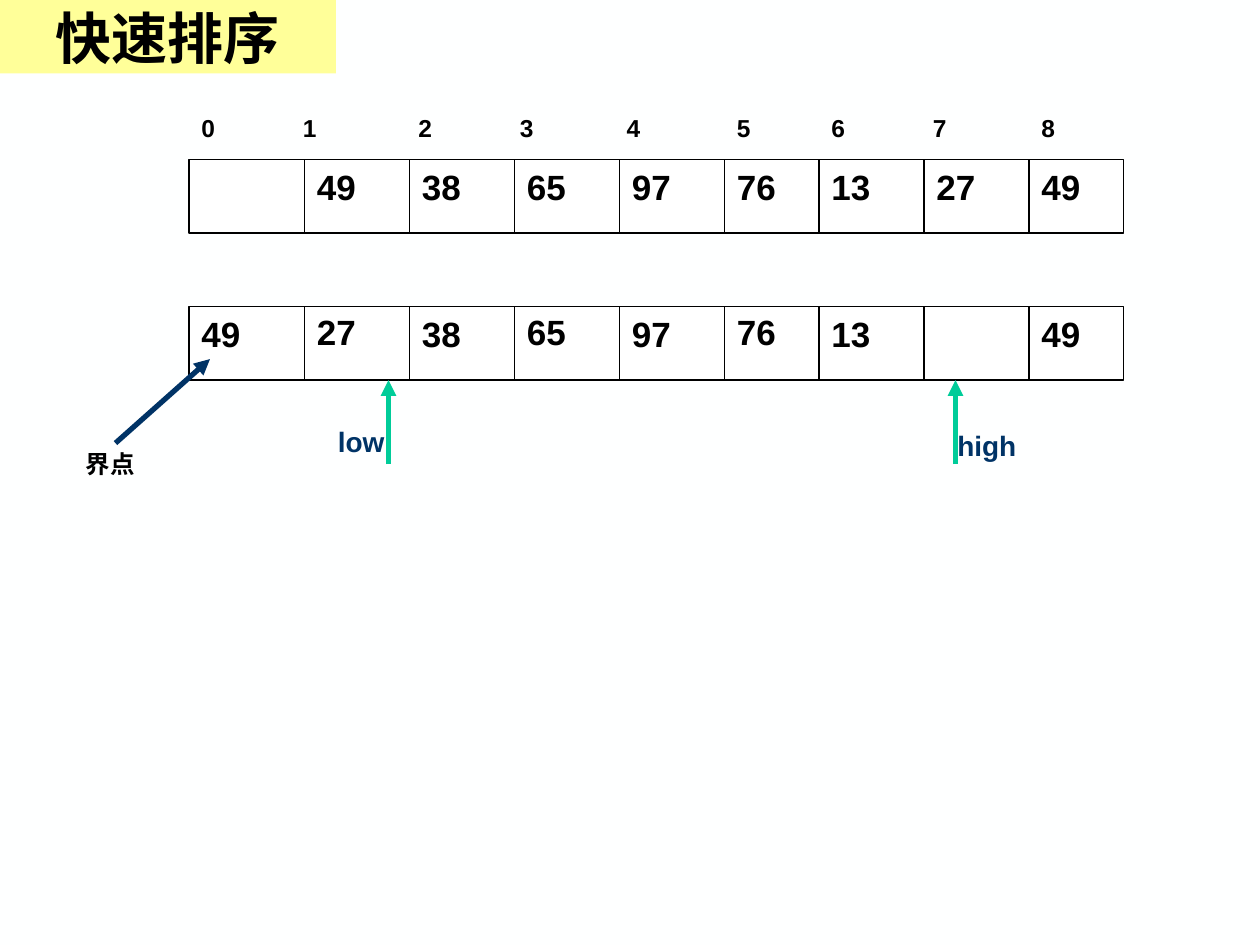
import pptx
import pptx.dml.color
import pptx.enum.shapes
import pptx.enum.text
import pptx.oxml
import pptx.oxml.ns
import pptx.util

Pt = pptx.util.Pt
BLACK, NAVY, GREEN = "000000", "003366", "00CC99"
CELL_WIDTHS = [66, 60, 60, 60, 60, 54, 60, 60, 54]
INDEX_TABS = [58, 124, 182, 243, 306, 360, 418, 480]
ROW_LEFT, ROW_HEIGHT = 108, 42


def color(value):
    return pptx.dml.color.RGBColor.from_string(value)


def style_font(font, size, value, name="Arial"):
    font.name, font.size, font.bold = name, Pt(size), True
    font.color.rgb = color(value)


def add_text(shapes, text, left, top, width, height, size, value=BLACK, tabs=()):
    box = shapes.add_textbox(Pt(left), Pt(top), Pt(width), Pt(height))
    frame = box.text_frame
    frame.word_wrap = True
    frame.auto_size = pptx.enum.text.MSO_AUTO_SIZE.SHAPE_TO_FIT_TEXT
    frame.text = text
    para = frame.paragraphs[0]
    if tabs:
        properties = para._p.get_or_add_pPr()
        tab_list = properties.makeelement(pptx.oxml.ns.qn("a:tabLst"), {})
        properties.append(tab_list)
        for position in tabs:
            stop = tab_list.makeelement(
                pptx.oxml.ns.qn("a:tab"), {"pos": str(Pt(position)), "algn": "l"})
            tab_list.append(stop)
    for span in para.runs:
        style_font(span.font, size, value)


def add_line(shapes, start, end, value, weight, arrow=False):
    line = shapes.add_connector(
        pptx.enum.shapes.MSO_CONNECTOR.STRAIGHT, *(Pt(n) for n in (*start, *end)))
    line.line.color.rgb = color(value)
    line.line.width = Pt(weight)
    if arrow:
        outline = line.line._get_or_add_ln()
        outline.append(outline.makeelement(
            pptx.oxml.ns.qn("a:tailEnd"), {"type": "triangle"}))
    properties = line._element.spPr
    properties.append(properties.makeelement(pptx.oxml.ns.qn("a:effectLst"), {}))


def add_title(page, left, top, width, height):
    title = page.shapes.title
    title.left, title.top, title.width, title.height = (
        Pt(n) for n in (left, top, width, height))
    title.fill.solid()
    title.fill.fore_color.rgb = color("FFFF99")
    frame = title.text_frame
    frame.text = "快速排序"
    frame.auto_size = pptx.enum.text.MSO_AUTO_SIZE.NONE
    frame.vertical_anchor = pptx.enum.text.MSO_ANCHOR.MIDDLE
    para = frame.paragraphs[0]
    para.alignment = pptx.enum.text.PP_ALIGN.CENTER
    style_font(para.runs[0].font, 32, BLACK, "Times New Roman")


def add_array(page, values, left, top, height, raised=()):
    """Draw a row of cells; numbers at the raised indexes sit slightly higher."""
    edges = [left + sum(CELL_WIDTHS[:n]) for n in range(len(CELL_WIDTHS))]
    group = page.shapes.add_group_shape()
    frame = group.shapes.add_shape(
        pptx.enum.shapes.MSO_SHAPE.RECTANGLE,
        Pt(left), Pt(top), Pt(sum(CELL_WIDTHS)), Pt(height))
    frame.shadow.inherit = False
    frame.fill.solid()
    frame.fill.fore_color.rgb = color("FFFFFF")
    frame.line.color.rgb = color(BLACK)
    frame.line.width = Pt(0.75)
    for edge in edges[1:]:
        add_line(group.shapes, (edge, top), (edge, top + height), BLACK, 0.75)
    for index, (edge, value) in enumerate(zip(edges, values)):
        if value:
            lift = 1.2 if index in raised else 0
            add_text(page.shapes, value, edge, top - lift, 48, 31.5, 20)


def add_pointer(page, name, x, bottom, top, label_left, label_top):
    group = page.shapes.add_group_shape()
    add_line(group.shapes, (x, bottom), (x, top), GREEN, 3, arrow=True)
    add_text(group.shapes, name, label_left, label_top, 66, 26.5, 16, NAVY)


def add_pivot(page, left, top):
    add_text(page.shapes, "界点", left, top, 60, 24.5, 14)
    add_line(page.shapes, (left + 24, top), (left + 78, top - 48), NAVY, 3, arrow=True)


def main():
    deck = pptx.Presentation()
    deck.slide_width, deck.slide_height = Pt(720), Pt(540)
    page = deck.slides.add_slide(deck.slide_layouts[5])
    page.background.fill.solid()
    page.background.fill.fore_color.rgb = color("FEFFFF")

    add_title(page, 0, 0, 192, 42)
    add_text(page.shapes, "\t".join(str(n) for n in range(9)),
             ROW_LEFT, 61.2, sum(CELL_WIDTHS), 24.5, 14, tabs=INDEX_TABS)
    add_array(page, ["", "49", "38", "65", "97", "76", "13", "27", "49"],
              ROW_LEFT, 91.2, ROW_HEIGHT)
    add_array(page, ["49", "27", "38", "65", "97", "76", "13", "", "49"],
              ROW_LEFT, 175.2, ROW_HEIGHT, raised=(1, 3, 5))
    add_pointer(page, "low", 222, 265.2, 217.2, 186, 239)
    add_pointer(page, "high", 546, 265.2, 217.2, 540, 241.2)
    add_pivot(page, 42, 253.2)
    deck.save("out.pptx")


if __name__ == "__main__":
    main()
